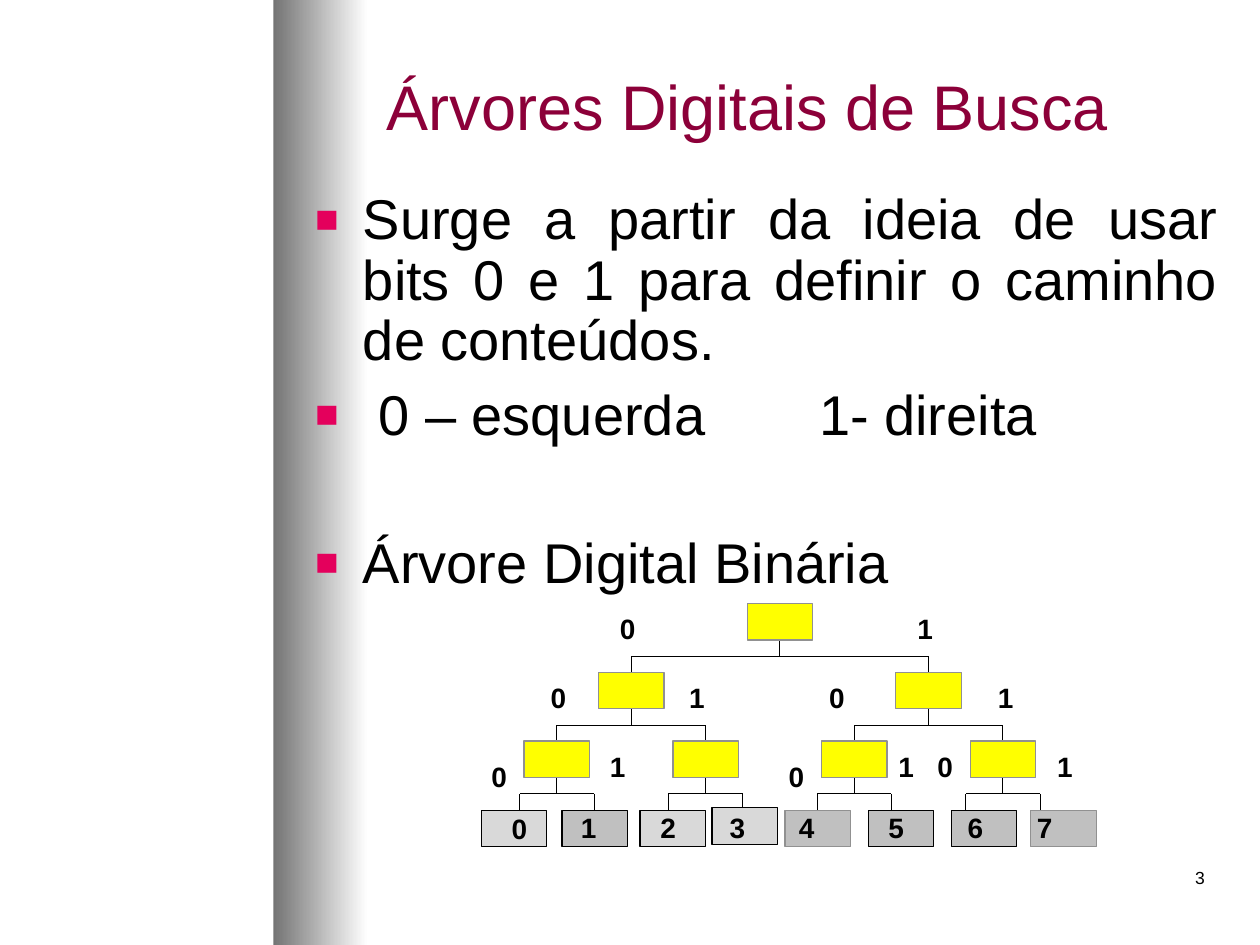
from typing import NamedTuple

from lxml import etree
from pptx import Presentation
from pptx import util as u
from pptx.dml import color
from pptx.enum import shapes, text
from pptx.oxml import ns

FONT = "Arial"
BLACK, GREY, YELLOW = "000000", "919191", "FFFF00"
NODE_W, NODE_H = 0.52, 0.29
ROOT_X, ROOT_Y = 6.19, 4.79
LEVEL_GAP, STEM = 0.545, 0.13
SPREADS = [1.18, 0.59, 0.295]  # distance from a node to each child, by level


class Bullet(NamedTuple):
    words: str
    before: float


class Leaf(NamedTuple):
    left: float
    top: float
    fill: str
    line: str


class Label(NamedTuple):
    words: str
    left: float
    top: float


BULLETS = [
    Bullet("Surge a partir da ideia de usar bits 0 e 1 para definir o caminho "
           "de conteúdos.", 0),
    Bullet(" 0 – esquerda\t1- direita", 8),
    Bullet("Árvore Digital Binária", 50),
]
LEAVES = [
    Leaf(3.82, 6.43, "D9D9D9", BLACK),
    Leaf(4.46, 6.43, "C0C0C0", BLACK),
    Leaf(5.08, 6.43, "D9D9D9", BLACK),
    Leaf(5.65, 6.41, "D9D9D9", BLACK),
    Leaf(6.23, 6.43, "C0C0C0", GREY),
    Leaf(6.89, 6.43, "C0C0C0", BLACK),
    Leaf(7.55, 6.43, "C0C0C0", BLACK),
    Leaf(8.18, 6.43, "C0C0C0", GREY),
]
LABELS = [
    Label("0", 4.92, 4.85), Label("1", 7.28, 4.85),
    Label("0", 4.37, 5.4), Label("1", 5.47, 5.4),
    Label("0", 6.58, 5.4), Label("1", 7.92, 5.4),
    Label("0", 3.9, 6.03), Label("1", 4.84, 5.95),
    Label("0", 6.26, 6.03), Label("1", 7.13, 5.95),
    Label("0", 7.44, 5.95), Label("1", 8.39, 5.95),
    Label("0", 4.06, 6.44), Label("1", 4.61, 6.43),
    Label("2", 5.24, 6.43), Label("3", 5.79, 6.43),
    Label("4", 6.34, 6.43), Label("5", 7.05, 6.43),
    Label("6", 7.68, 6.43), Label("7", 8.23, 6.43),
]


def paint(target, hex_color: str) -> None:
    """Colour a font, a line, a gradient stop or a solid fill."""
    if hasattr(target, "solid"):
        target.solid()
        target.fore_color.rgb = color.RGBColor.from_string(hex_color)
    else:
        target.color.rgb = color.RGBColor.from_string(hex_color)


def place(shape, left: float, top: float, width: float, height: float) -> None:
    shape.left, shape.top = u.Inches(left), u.Inches(top)
    shape.width, shape.height = u.Inches(width), u.Inches(height)


def add_span(para, words: str, size: float, hex_color: str = BLACK,
             bold: bool = False) -> None:
    span = para.add_run()
    span.text = words
    span.font.name, span.font.size, span.font.bold = FONT, u.Pt(size), bold
    paint(span.font, hex_color)


def add_box(page, left: float, top: float, fill: str, line: str) -> None:
    box = page.shapes.add_shape(
        shapes.MSO_SHAPE.RECTANGLE, u.Inches(left), u.Inches(top),
        u.Inches(NODE_W), u.Inches(NODE_H))
    box.shadow.inherit = False
    paint(box.fill, fill)
    paint(box.line, line)
    box.line.width = u.Pt(0.75)


def add_line(page, x1: float, y1: float, x2: float, y2: float) -> None:
    line = page.shapes.add_connector(
        shapes.MSO_CONNECTOR.STRAIGHT,
        u.Inches(x1), u.Inches(y1), u.Inches(x2), u.Inches(y2))
    paint(line.line, BLACK)
    line.line.width = u.Pt(0.62)
    etree.SubElement(line._element.spPr, ns.qn("a:effectLst"))


def add_label(page, label: Label) -> None:
    box = page.shapes.add_textbox(
        u.Inches(label.left), u.Inches(label.top),
        u.Inches(0.12), u.Inches(0.27))
    frame = box.text_frame
    frame.word_wrap = False
    frame.margin_left = frame.margin_right = 0
    frame.margin_top = frame.margin_bottom = 0
    add_span(frame.paragraphs[0], label.words, 16, bold=True)


def add_branch(page, x: float, level: int) -> None:
    """Draw a node, its lines and everything below it."""
    top = ROOT_Y + level * LEVEL_GAP
    foot = top + NODE_H
    bar = foot + STEM
    add_line(page, x, foot, x, bar)
    for child in (x - SPREADS[level], x + SPREADS[level]):
        add_line(page, x, bar, child, bar)
        add_line(page, child, bar, child, top + LEVEL_GAP)
        if level + 1 < len(SPREADS):
            add_branch(page, child, level + 1)
    add_box(page, x - NODE_W / 2, top, YELLOW, GREY)


def set_bullet(para) -> None:
    """Give a paragraph a square bullet, a hanging indent and a tab stop."""
    props = para._p.get_or_add_pPr()
    props.set("marL", str(u.Inches(0.38)))
    props.set("indent", str(-u.Inches(0.38)))
    tint = etree.SubElement(props, ns.qn("a:buClr"))
    etree.SubElement(tint, ns.qn("a:srgbClr"), val="E4005C")
    etree.SubElement(props, ns.qn("a:buSzPct"), val="70000")
    etree.SubElement(props, ns.qn("a:buFont"), typeface=FONT)
    etree.SubElement(props, ns.qn("a:buChar"), char="■")
    stops = etree.SubElement(props, ns.qn("a:tabLst"))
    etree.SubElement(stops, ns.qn("a:tab"), pos=str(u.Inches(4)), algn="l")


def add_strip(page) -> None:
    """Add the shaded strip behind everything else on the page."""
    strip = page.shapes.add_shape(
        shapes.MSO_SHAPE.RECTANGLE, u.Inches(2.17), 0,
        u.Inches(0.75), u.Inches(7.5))
    strip.shadow.inherit = False
    strip.line.fill.background()
    strip.fill.gradient()
    strip.fill.gradient_angle = 0
    for stop, shade in zip(strip.fill.gradient_stops, ("747474", "FFFFFF")):
        paint(stop, shade)
    page.shapes.title._element.addprevious(strip._element)


def fill_title(title) -> None:
    place(title, 2.97, 0.21, 6.31, 1.25)
    frame = title.text_frame
    frame.auto_size = text.MSO_AUTO_SIZE.NONE
    frame.vertical_anchor = text.MSO_ANCHOR.MIDDLE
    para = frame.paragraphs[0]
    para.alignment = text.PP_ALIGN.LEFT
    add_span(para, "Árvores Digitais de Busca", 36, "8C0039")


def fill_body(body) -> None:
    place(body, 2.4, 1.47, 7.37, 5.28)
    frame = body.text_frame
    frame.auto_size = text.MSO_AUTO_SIZE.NONE
    for index, bullet in enumerate(BULLETS):
        para = frame.add_paragraph() if index else frame.paragraphs[0]
        set_bullet(para)
        para.alignment = text.PP_ALIGN.JUSTIFY
        para.line_spacing = 0.9
        para.space_before = u.Pt(bullet.before)
        add_span(para, bullet.words, 32)


def add_page_number(page) -> None:
    box = page.shapes.add_textbox(
        u.Inches(7.58), u.Inches(6.83), u.Inches(2.08), u.Inches(0.5))
    box.text_frame.word_wrap = True
    para = box.text_frame.paragraphs[0]
    para.alignment = text.PP_ALIGN.RIGHT
    add_span(para, "3", 10)


def main() -> None:
    deck = Presentation()
    deck.slide_width, deck.slide_height = u.Inches(10), u.Inches(7.5)
    page = deck.slides.add_slide(deck.slide_layouts[1])
    add_strip(page)
    fill_title(page.shapes.title)
    fill_body(page.placeholders[1])
    add_page_number(page)
    add_branch(page, ROOT_X, 0)
    for leaf in LEAVES:
        add_box(page, *leaf)
    for label in LABELS:
        add_label(page, label)
    deck.save("out.pptx")


if __name__ == "__main__":
    main()
